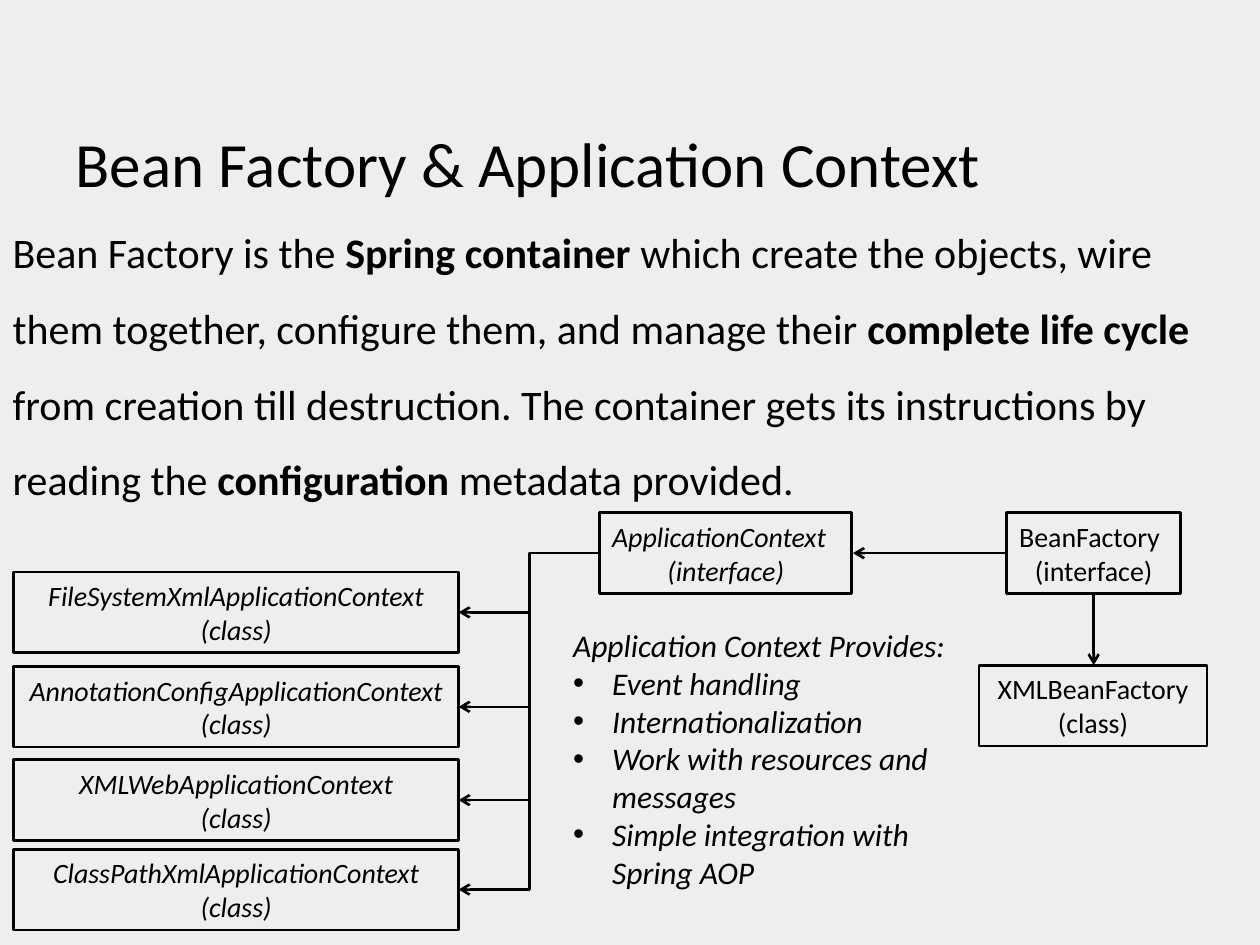
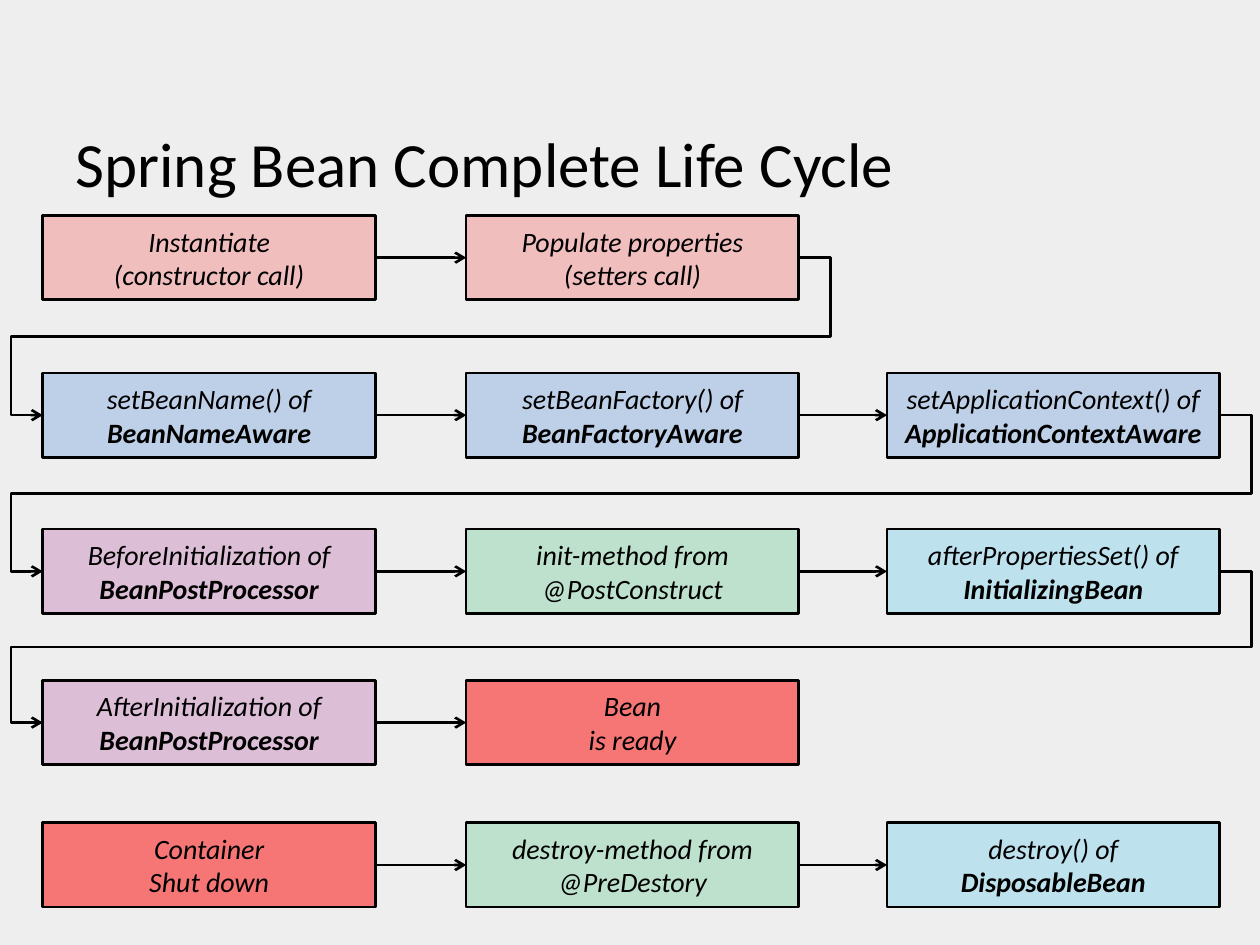
"""Build two slides on the bean container and the bean life cycle."""

from lxml.etree import SubElement
from pptx import Presentation
from pptx.dml.color import RGBColor
from pptx.enum.shapes import MSO_CONNECTOR, MSO_SHAPE
from pptx.enum.text import MSO_ANCHOR, MSO_AUTO_SIZE, PP_ALIGN
from pptx.oxml.ns import qn
from pptx.util import Inches, Pt

BLACK = RGBColor(0x00, 0x00, 0x00)
BACKGROUND = RGBColor(0xEE, 0xEE, 0xEE)
RED = RGBColor(0xFF, 0x00, 0x00)
BLUE = RGBColor(0x00, 0x5B, 0xD3)
GREEN = RGBColor(0x00, 0xB0, 0x50)
CYAN = RGBColor(0x00, 0xB0, 0xF0)
PURPLE = RGBColor(0x9C, 0x00, 0x7F)
FONT = "Calibri"


def add_box(slide, left, top, width, height, lines, color=None, opacity=20,
            italic=True, bold_last=False, first_alignment=PP_ALIGN.CENTER):
    """Add an outlined box of centred lines, with an optional tinted fill."""
    shape = slide.shapes.add_shape(
        MSO_SHAPE.RECTANGLE, Inches(left), Inches(top), Inches(width), Inches(height))
    shape.shadow.inherit = False
    shape.line.color.rgb = BLACK
    shape.line.width = Pt(1.5)
    if color is None:
        shape.fill.background()
    else:
        shape.fill.solid()
        shape.fill.fore_color.rgb = color
        tint = shape.element.spPr.find(qn("a:solidFill")).find(qn("a:srgbClr"))
        SubElement(tint, qn("a:alpha"), val=str(opacity * 1000))
    shape.text_frame.text = "\n".join(lines)
    for paragraph in shape.text_frame.paragraphs:
        paragraph.alignment = PP_ALIGN.CENTER
        paragraph.font.name = FONT
        paragraph.font.size = Pt(16)
        paragraph.font.italic = italic
        paragraph.font.color.rgb = BLACK
    shape.text_frame.paragraphs[0].alignment = first_alignment
    shape.text_frame.paragraphs[-1].font.bold = bold_last


def add_arrow(slide, start, end, adjustments=()):
    """Add an arrow: straight on one axis, bent otherwise, wrapped if adjusted."""
    straight = start[0] == end[0] or start[1] == end[1]
    kind = MSO_CONNECTOR.STRAIGHT if straight else MSO_CONNECTOR.ELBOW
    connector = slide.shapes.add_connector(
        kind, *(Inches(value) for value in (*start, *end)))
    connector.line.color.rgb = BLACK
    connector.line.width = Pt(1.5)
    properties = connector.element.spPr
    SubElement(properties.find(qn("a:ln")), qn("a:tailEnd"), type="arrow")
    SubElement(properties, qn("a:effectLst"))
    if adjustments:
        geometry = properties.find(qn("a:prstGeom"))
        geometry.set("prst", "bentConnector5")
        guides = geometry.find(qn("a:avLst"))
        if guides is None:
            guides = SubElement(geometry, qn("a:avLst"))
        for number, adjustment in enumerate(adjustments, 1):
            SubElement(guides, qn("a:gd"), name=f"adj{number}",
                       fmla=f"val {round(adjustment * 100000)}")


presentation = Presentation()
presentation.slide_width = Inches(10)
presentation.slide_height = Inches(7.5)
master_fill = presentation.slide_master.background.fill
master_fill.solid()
master_fill.fore_color.rgb = BACKGROUND

slides = []
for layout, heading in ((1, "Bean Factory & Application Context"),
                        (5, "Spring Bean Complete Life Cycle")):
    slide = presentation.slides.add_slide(presentation.slide_layouts[layout])
    title = slide.shapes.title
    title.left, title.top = Inches(0.5), Inches(0.39)
    title.width, title.height = Inches(9), Inches(1.25)
    title.text_frame.text = heading
    title.text_frame.auto_size = MSO_AUTO_SIZE.NONE
    title.text_frame.vertical_anchor = MSO_ANCHOR.BOTTOM
    paragraph = title.text_frame.paragraphs[0]
    paragraph.alignment = PP_ALIGN.LEFT
    font = paragraph.runs[0].font
    font.name, font.size, font.color.rgb = FONT, Pt(36), BLACK
    slides.append(slide)
context_slide, cycle_slide = slides

body = context_slide.placeholders[1]
body.left, body.top = Inches(0), Inches(1.55)
body.width, body.height = Inches(10), Inches(2.52)
body.text_frame.auto_size = MSO_AUTO_SIZE.NONE
paragraph = body.text_frame.paragraphs[0]
paragraph.line_spacing = 1.5
paragraph.space_before = Pt(0)
paragraph_properties = paragraph._p.get_or_add_pPr()
paragraph_properties.set("marL", "0")
paragraph_properties.set("indent", "0")
SubElement(paragraph_properties, qn("a:buNone"))
definition = (
    ("Bean Factory is the ", False),
    ("Spring container ", True),
    ("which create the objects, wire them together, configure them, "
     "and manage their ", False),
    ("complete life cycle ", True),
    ("from creation till destruction. The container gets its instructions "
     "by reading the ", False),
    ("configuration ", True),
    ("metadata provided.", False),
)
for words, bold in definition:
    run = paragraph.add_run()
    run.text = words
    run.font.name, run.font.size, run.font.bold = FONT, Pt(24), bold
    run.font.color.rgb = BLACK

BOX_HEIGHT = 0.64
INTERFACE_TOP = 4.07
INTERFACE_MIDDLE = INTERFACE_TOP + BOX_HEIGHT / 2
CLASS_LEFT, CLASS_WIDTH = 0.11, 3.53
CLASS_RIGHT = CLASS_LEFT + CLASS_WIDTH
TRUNK = 4.2
add_box(context_slide, 7.99, INTERFACE_TOP, 1.38, BOX_HEIGHT,
        ("BeanFactory", "(interface)"), italic=False, first_alignment=PP_ALIGN.LEFT)
add_box(context_slide, 7.77, 5.28, 1.81, BOX_HEIGHT,
        ("XMLBeanFactory", "(class)"), italic=False)
add_box(context_slide, 4.76, INTERFACE_TOP, 2, BOX_HEIGHT,
        ("ApplicationContext", "(interface)"), first_alignment=PP_ALIGN.LEFT)
add_arrow(context_slide, (8.68, 4.71), (8.68, 5.28))
add_arrow(context_slide, (7.99, INTERFACE_MIDDLE), (6.77, INTERFACE_MIDDLE))

context_classes = (
    ("FileSystemXmlApplicationContext", 4.54),
    ("AnnotationConfigApplicationContext", 5.29),
    ("XMLWebApplicationContext", 6.03),
    ("ClassPathXmlApplicationContext", 6.74),
)
for name, top in context_classes:
    add_box(context_slide, CLASS_LEFT, top, CLASS_WIDTH, BOX_HEIGHT, (name, "(class)"))
    middle = top + BOX_HEIGHT / 2
    if name == context_classes[-1][0]:
        add_arrow(context_slide, (4.76, INTERFACE_MIDDLE), (CLASS_RIGHT, middle))
    else:
        add_arrow(context_slide, (TRUNK, middle), (CLASS_RIGHT, middle))

features = context_slide.shapes.add_textbox(
    Inches(4.45), Inches(4.77), Inches(3.32), Inches(2.37))
features.text_frame.word_wrap = True
features.text_frame.text = "\n".join((
    "Application Context Provides:",
    "Event handling",
    "Internationalization",
    "Work with resources and messages",
    "Simple integration with Spring AOP",
))
for index, paragraph in enumerate(features.text_frame.paragraphs):
    font = paragraph.runs[0].font
    font.name, font.size, font.italic = FONT, Pt(18), True
    font.color.rgb = BLACK
    if index == 0:
        paragraph.line_spacing = 1.5
    else:
        paragraph_properties = paragraph._p.get_or_add_pPr()
        paragraph_properties.set("marL", str(Inches(0.31)))
        paragraph_properties.set("indent", str(-Inches(0.31)))
        SubElement(paragraph_properties, qn("a:buFont"), typeface="Arial")
        SubElement(paragraph_properties, qn("a:buChar"), char="•")

STEP_WIDTH, STEP_HEIGHT = 2.64, 0.67
COLUMNS = (0.34, 3.7, 7.04)
OVERHANG = 0.25
life_cycle = (
    (1.71, (("Instantiate", "(constructor call)", RED, 20, False),
            ("Populate properties", "(setters call)", RED, 20, False))),
    (2.96, (("setBeanName() of", "BeanNameAware", BLUE, 20, True),
            ("setBeanFactory() of", "BeanFactoryAware", BLUE, 20, True),
            ("setApplicationContext() of", "ApplicationContextAware", BLUE, 20, True))),
    (4.2, (("BeforeInitialization of", "BeanPostProcessor", PURPLE, 20, True),
           ("init-method from", "@PostConstruct", GREEN, 20, False),
           ("afterPropertiesSet() of", "InitializingBean", CYAN, 20, True))),
    (5.4, (("AfterInitialization of", "BeanPostProcessor", PURPLE, 20, True),
           ("Bean", "is ready", RED, 50, False))),
    (6.53, (("Container", "Shut down", RED, 50, False),
            ("destroy-method from", "@PreDestory", GREEN, 20, False),
            ("destroy() of", "DisposableBean", CYAN, 20, True))),
)
row_ends = []
for top, steps in life_cycle:
    middle = top + STEP_HEIGHT / 2
    for column, (action, target, color, opacity, bold) in enumerate(steps):
        add_box(cycle_slide, COLUMNS[column], top, STEP_WIDTH, STEP_HEIGHT,
                (action, target), color, opacity, bold_last=bold)
        if column:
            add_arrow(cycle_slide, (COLUMNS[column - 1] + STEP_WIDTH, middle),
                      (COLUMNS[column], middle))
    row_ends.append((COLUMNS[len(steps) - 1] + STEP_WIDTH, middle))

for row_end, next_row_end in zip(row_ends[:3], row_ends[1:]):
    overhang_share = OVERHANG / (row_end[0] - COLUMNS[0])
    add_arrow(cycle_slide, row_end, (COLUMNS[0], next_row_end[1]),
              (-overhang_share, 0.5, 1 + overhang_share))

presentation.save("out.pptx")
